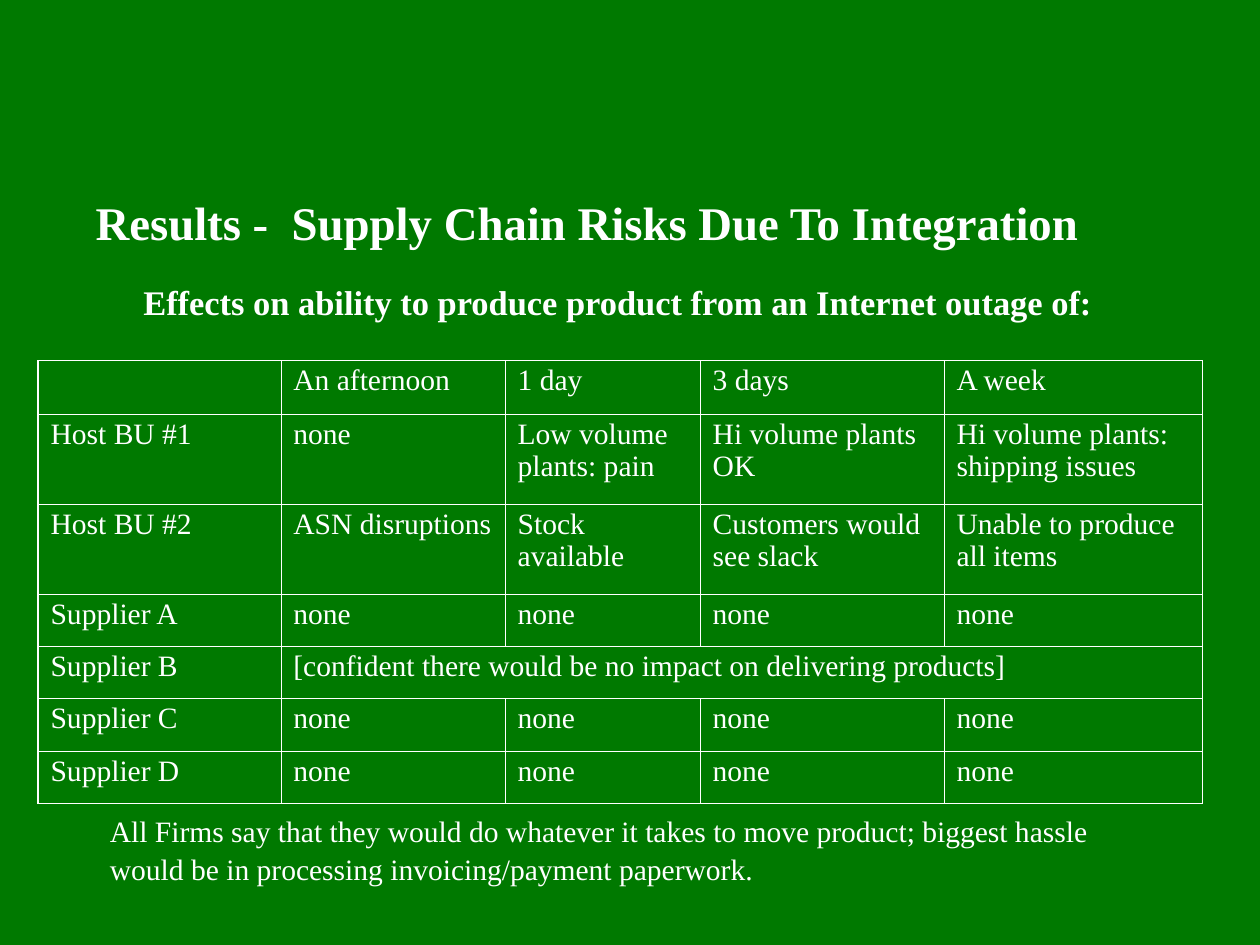
from dataclasses import dataclass

from lxml import etree
from pptx import Presentation
from pptx.dml.color import RGBColor
from pptx.enum.text import MSO_ANCHOR, MSO_AUTO_SIZE, PP_ALIGN
from pptx.oxml.ns import qn
from pptx.util import Cm, Pt

TOP = MSO_ANCHOR.TOP
LEFT = PP_ALIGN.LEFT
NO_FIT = MSO_AUTO_SIZE.NONE
TITLE_ONLY = 5


@dataclass(frozen=True)
class Theme:
    font: str = "Times New Roman"
    back: str = "007900"
    ink: str = "FFFFFF"
    title: float = 38
    head: float = 28
    body: float = 24
    outer: float = 1.08
    inner: float = 0.45
    text_gap: float = 1.07
    cell_gap: float = 0.98


class Deck:
    def __init__(self, theme, width, height):
        self.theme = theme
        self.prs = Presentation()
        self.prs.slide_width, self.prs.slide_height = Cm(width), Cm(height)

    def add_slide(self):
        self.slide = self.prs.slides.add_slide(self.prs.slide_layouts[TITLE_ONLY])
        fill = self.slide.background.fill
        fill.solid()
        fill.fore_color.rgb = RGBColor.from_string(self.theme.back)

    def style(self, para, size, gap, bold=False):
        para.alignment = LEFT
        para.line_spacing = gap
        font = para.font
        font.name, font.size, font.bold = self.theme.font, Pt(size), bold
        font.color.rgb = RGBColor.from_string(self.theme.ink)

    def fill_text(self, shape, text, size, bold):
        frame = shape.text_frame
        frame.word_wrap, frame.auto_size = True, NO_FIT
        frame.vertical_anchor = TOP
        frame.margin_left = frame.margin_right = Cm(0.15)
        frame.margin_top = frame.margin_bottom = 0
        frame.text = text
        self.style(frame.paragraphs[0], size, self.theme.text_gap, bold)

    def title(self, text, left, top, width, height):
        shape = self.slide.shapes.title
        shape.left, shape.top = Cm(left), Cm(top)
        shape.width, shape.height = Cm(width), Cm(height)
        self.fill_text(shape, text, self.theme.title, True)

    def text(self, text, left, top, width, height, size, bold=False):
        box = self.slide.shapes.add_textbox(Cm(left), Cm(top), Cm(width), Cm(height))
        self.fill_text(box, text, size, bold)

    def border(self, cell, side, weight):
        props = cell._tc.get_or_add_tcPr()
        line = etree.SubElement(props, qn("a:ln" + side), w=str(Pt(weight)))
        fill = etree.SubElement(line, qn("a:solidFill"))
        etree.SubElement(fill, qn("a:srgbClr"), val=self.theme.ink)

    def cell(self, cell, text, edges):
        for side, outer in edges.items():
            self.border(cell, side, self.theme.outer if outer else self.theme.inner)
        cell.fill.background()
        cell.vertical_anchor = TOP
        cell.margin_left, cell.margin_right = Cm(0.36), Cm(0.2)
        cell.margin_top = cell.margin_bottom = Cm(0.13)
        cell.text = text
        self.style(cell.text_frame.paragraphs[0], self.theme.body, self.theme.cell_gap)

    def table(self, rows, left, top, widths, heights):
        frame = self.slide.shapes.add_table(
            len(rows), len(widths), Cm(left), Cm(top), Cm(sum(widths)), Cm(sum(heights)))
        table = frame.table
        table.first_row = table.horz_banding = False
        for col, width in zip(table.columns, widths):
            col.width = Cm(width)
        for row, height in zip(table.rows, heights):
            row.height = Cm(height)
        end_row, end_col = len(rows) - 1, len(widths) - 1
        for r, row in enumerate(rows):
            # A short row lets its last entry span the rest
            last = len(row) - 1
            if last < end_col:
                table.cell(r, last).merge(table.cell(r, end_col))
            for c in range(len(widths)):
                edges = {"L": c == 0, "R": c >= last,
                         "T": r == 0, "B": r == end_row}
                self.cell(table.cell(r, c), row[c] if c <= last else "", edges)


NONE = ["none"] * 4
ROWS = [
    ["", "An afternoon", "1 day", "3 days", "A week"],
    ["Host BU #1", "none", "Low volume plants: pain", "Hi volume plants OK",
     "Hi volume plants: shipping issues"],
    ["Host BU #2", "ASN disruptions", "Stock available",
     "Customers would see slack", "Unable to produce all items"],
    ["Supplier A", *NONE],
    ["Supplier B", "[confident there would be no impact on delivering products]"],
    ["Supplier C", *NONE],
    ["Supplier D", *NONE],
]


def main():
    theme = Theme()
    deck = Deck(theme, 36.12, 27.08)
    deck.add_slide()

    # Headings
    deck.title("Results -  Supply Chain Risks Due To Integration", 2.59, 5.44, 31.22, 1.93)
    deck.text("Effects on ability to produce product from an Internet outage of:",
              3.96, 7.98, 28.78, 1.52, theme.head, True)

    # Outage effects by firm
    deck.table(ROWS, 1.09, 10.34, [6.96, 6.43, 5.59, 6.99, 7.42],
               [1.52, 2.58, 2.58] + [1.5] * 4)

    # Closing remark
    deck.text("All Firms say that they would do whatever it takes to move product; "
              "biggest hassle would be in processing invoicing/payment paperwork.",
              3, 23.22, 28.78, 2.34, theme.body)

    deck.prs.save("out.pptx")


if __name__ == "__main__":
    main()
